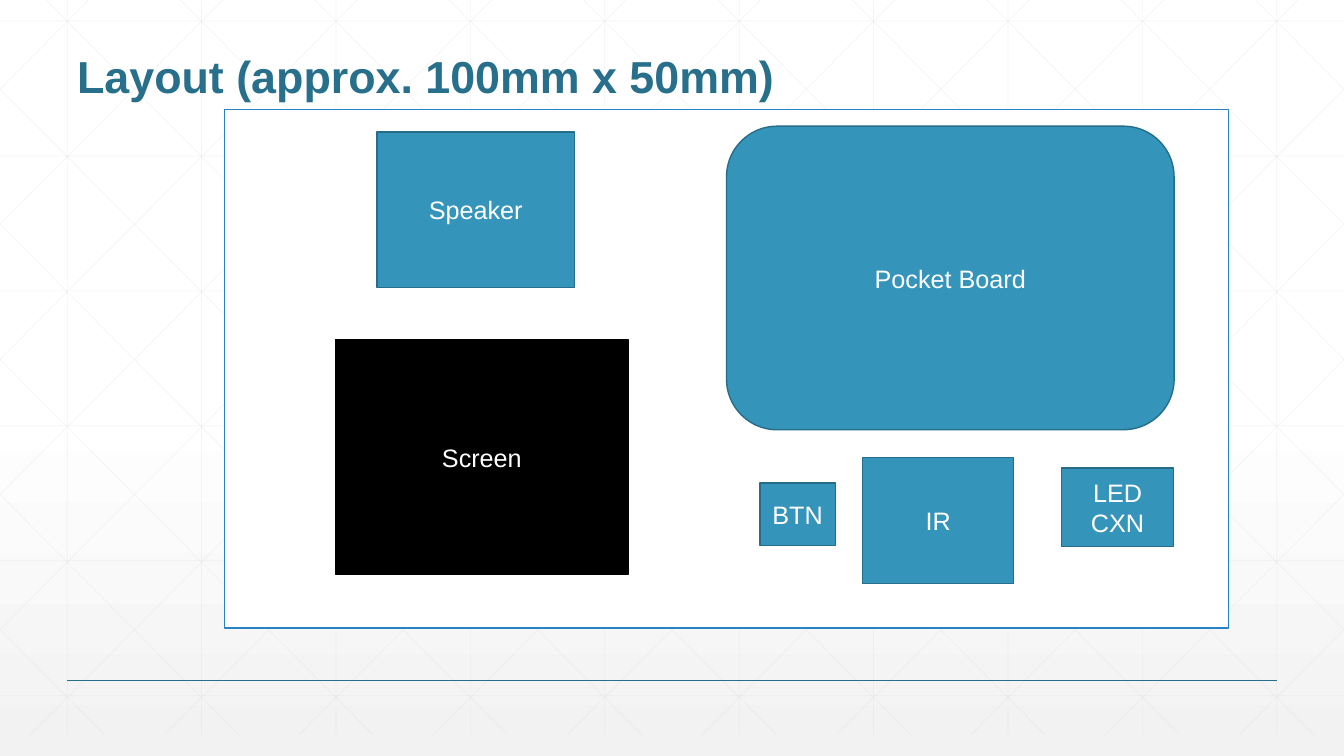
from lxml import etree
from pptx import Presentation
from pptx.dml.color import RGBColor
from pptx.enum import shapes, text
from pptx.oxml import ns
from pptx.util import Cm, Pt

WIDE, HIGH = 33.87, 19.05
STEP = WIDE / 10
TOP, BASE = -0.53, 18.52
COLORS = {
    "white": "FFFFFF",
    "black": "000000",
    "fade": "F2F2F2",
    "grid": "D9D9D9",
    "title": "276F8B",
    "frame": "2683C6",
    "part": "3494BA",
    "edge": "266D8A",
}
RECT = shapes.MSO_SHAPE.RECTANGLE
ROUND = shapes.MSO_SHAPE.ROUNDED_RECTANGLE
PARTS = [
    ("Pocket Board", ROUND, (18.31, 3.18, 11.28, 7.65), "part", "edge"),
    ("Screen", RECT, (8.46, 8.56, 7.37, 5.92), "black", "black"),
    ("IR", RECT, (21.74, 11.53, 3.81, 3.18), "part", "edge"),
    ("BTN", RECT, (19.15, 12.17, 1.9, 1.58), "part", "edge"),
    ("LED CXN", RECT, (26.75, 11.79, 2.83, 1.98), "part", "edge"),
    ("Speaker", RECT, (9.5, 3.33, 4.98, 3.91), "part", "edge"),
]


def color(name):
    return RGBColor.from_string(COLORS[name])


class Board:
    font = "Arial"

    def __init__(self, deck):
        self.slide = deck.slides.add_slide(deck.slide_layouts[5])
        self.shapes = self.slide.shapes

    def shade(self):
        fill = self.slide.background.fill
        fill.gradient()
        fill.gradient_angle = 270
        for stop, spot, name in zip(fill.gradient_stops, (0.53, 1), ("white", "fade")):
            stop.position = spot
            stop.color.rgb = color(name)

    def line(self, start, end, name, width, alpha=100):
        link = self.shapes.add_connector(
            shapes.MSO_CONNECTOR.STRAIGHT, *map(Cm, (*start, *end)))
        link.line.width = Pt(width)
        link.line.color.rgb = color(name)
        props = link._element.spPr
        etree.SubElement(props, ns.qn("a:effectLst"))
        if alpha < 100:
            tint = props.find(".//" + ns.qn("a:srgbClr"))
            etree.SubElement(tint, ns.qn("a:alpha")).set("val", str(alpha * 1000))

    def grid(self):
        def draw(start, end):
            self.line(start, end, "grid", 0.5, 25)

        for k in range(10):
            x = (k + 0.5) * STEP
            draw((x, TOP), (x, BASE))
        for k in range(6):
            y = 0.53 + 3.4 * k
            draw((0, y), (WIDE, y))
        run = 18.94
        slope = (BASE - TOP) / run
        for k in range(-5, 10):
            x = 0.63 + k * STEP
            left, right = max(x, 0), min(x + run, WIDE)
            high, low = (TOP + (end - x) * slope for end in (left, right))
            draw((left, high), (right, low))
            draw((WIDE - left, high), (WIDE - right, low))

    def label(self, frame, words, size, name, bold=False):
        frame.text = words
        frame.word_wrap = True
        for para in frame.paragraphs:
            for run in para.runs:
                run.font.name = self.font
                run.font.size = Pt(size)
                run.font.bold = bold
                run.font.color.rgb = color(name)

    def head(self, words, place):
        title = self.shapes.title
        title.left, title.top, title.width, title.height = map(Cm, place)
        frame = title.text_frame
        self.label(frame, words, 32, "title", True)
        frame.auto_size = text.MSO_AUTO_SIZE.NONE
        frame.vertical_anchor = text.MSO_ANCHOR.BOTTOM
        frame.paragraphs[0].alignment = text.PP_ALIGN.LEFT
        frame.paragraphs[0].line_spacing = 0.9
        self.shapes._spTree.append(title._element)

    def box(self, words, kind, place, fill, edge):
        part = self.shapes.add_shape(kind, *map(Cm, place))
        part.shadow.inherit = False
        part.fill.solid()
        part.fill.fore_color.rgb = color(fill)
        part.line.color.rgb = color(edge)
        part.line.width = Pt(1)
        if words:
            frame = part.text_frame
            self.label(frame, words, 18, "white")
            frame.vertical_anchor = text.MSO_ANCHOR.MIDDLE
            frame.paragraphs[0].alignment = text.PP_ALIGN.CENTER


def main():
    deck = Presentation()
    deck.slide_width, deck.slide_height = Cm(WIDE), Cm(HIGH)
    board = Board(deck)
    board.shade()
    board.grid()
    board.line((1.69, 17.15), (32.18, 17.15), "title", 1)
    board.box("", RECT, (5.66, 2.76, 25.3, 13.07), "white", "frame")
    board.head("Layout (approx. 100mm x 50mm)", (1.69, 0.18, 30.48, 2.54))
    for part in PARTS:
        board.box(*part)
    deck.save("out.pptx")


if __name__ == "__main__":
    main()
